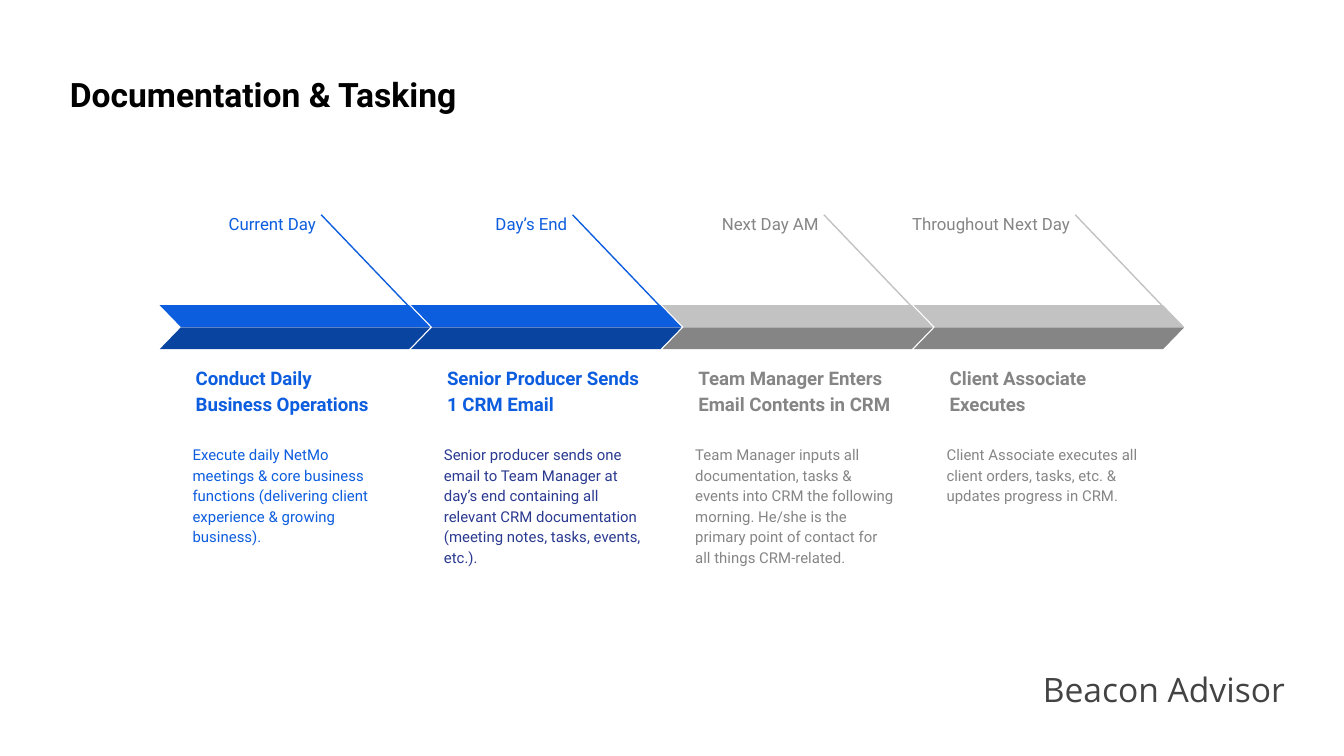
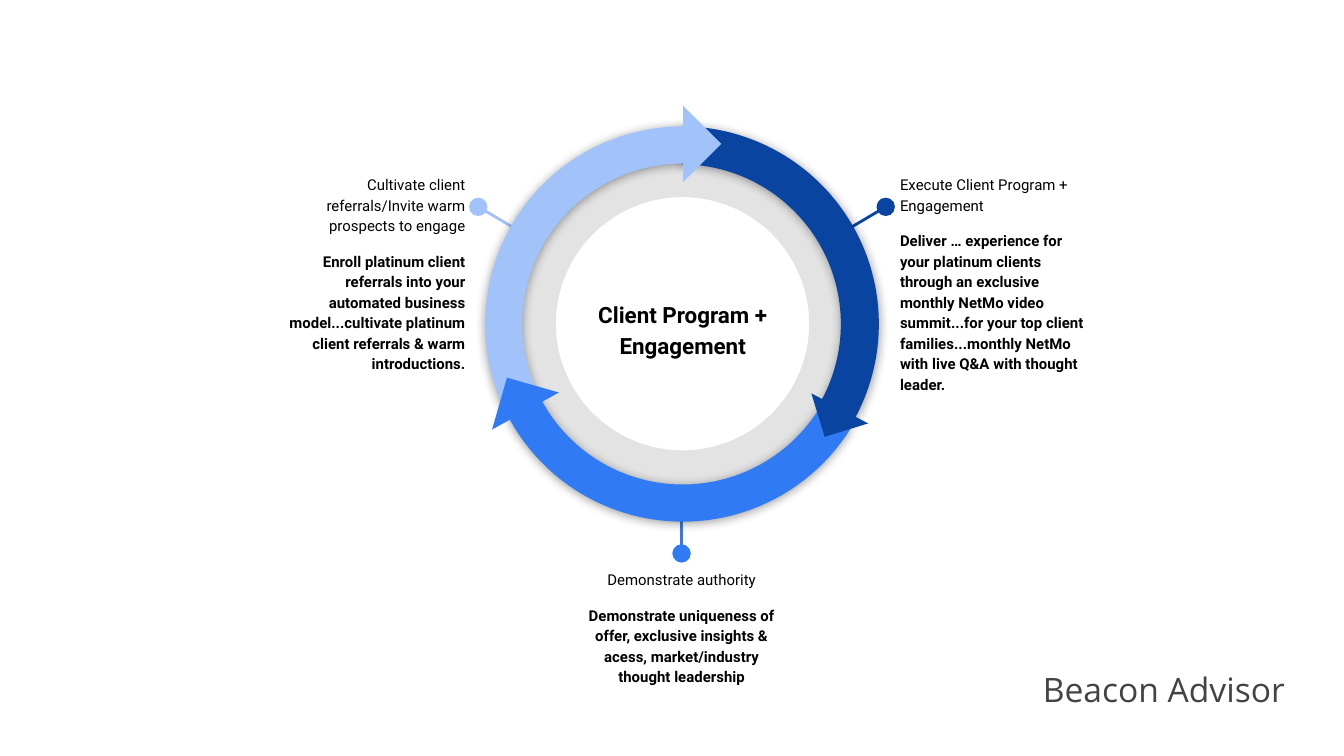
"""Build a two-slide deck: a four-step timeline and a three-part cycle."""
from dataclasses import dataclass
from typing import Any, Optional

from lxml import etree
from pptx import Presentation
from pptx.dml.color import RGBColor
from pptx.enum import shapes as es, text as et
from pptx.oxml import ns
from pptx.util import Cm, Pt

BLUE = RGBColor(0x0D, 0x5D, 0xDF)
NAVY = RGBColor(0x09, 0x44, 0xA1)
INDIGO = RGBColor(0x2A, 0x39, 0x90)
SILVER = RGBColor(0xC2, 0xC2, 0xC2)
GRAY = RGBColor(0x85, 0x85, 0x85)
SKY = RGBColor(0xA1, 0xC3, 0xFA)
AZURE = RGBColor(0x30, 0x7B, 0xF3)
BLACK = RGBColor(0, 0, 0)
SLATE = RGBColor(0x43, 0x43, 0x43)

KIND = es.MSO_SHAPE
LEFT, MID, RIGHT = et.PP_ALIGN.LEFT, et.PP_ALIGN.CENTER, et.PP_ALIGN.RIGHT
TOP, CENTER, BASE = et.MSO_ANCHOR.TOP, et.MSO_ANCHOR.MIDDLE, et.MSO_ANCHOR.BOTTOM
INSET = Cm(0.25)
FRAME = {"word_wrap": True, "auto_size": et.MSO_AUTO_SIZE.NONE,
         "margin_left": INSET, "margin_right": INSET,
         "margin_top": INSET, "margin_bottom": INSET}
Box = tuple[float, float, float, float]
Point = tuple[float, float]


@dataclass
class Para:
    words: str
    size: float
    color: RGBColor = BLACK
    bold: bool = False
    align: Any = LEFT
    font: str = "Roboto"
    leading: float = 1.15
    before: float = 0


@dataclass
class Step:
    time: str
    width: float
    head: str
    body: str
    main: RGBColor
    light: RGBColor
    dark: RGBColor
    ink: RGBColor


@dataclass
class Callout:
    start: Point
    end: Point
    left: float
    top: float
    align: Any
    color: RGBColor
    head: str
    body: str


@dataclass
class Arc:
    left: float
    turn: float
    flip: bool
    bends: tuple[float, float, float]
    color: RGBColor


@dataclass
class Tip:
    left: float
    top: float
    side: float
    turn: float
    color: RGBColor


STEPS = [
    Step("Current Day", 2.77, "Conduct Daily Business Operations",
         "Execute daily NetMo meetings & core business functions (delivering client "
         "experience & growing business).", BLUE, BLUE, NAVY, BLUE),
    Step("Day’s End", 2.21, "Senior Producer Sends 1 CRM Email",
         "Senior producer sends one email to Team Manager at day’s end containing all "
         "relevant CRM documentation (meeting notes, tasks, events, etc.).",
         BLUE, BLUE, NAVY, INDIGO),
    Step("Next Day AM", 2.57, "Team Manager Enters Email Contents in CRM",
         "Team Manager inputs all documentation, tasks & events into CRM the following "
         "morning. He/she is the primary point of contact for all things CRM-related.",
         GRAY, SILVER, GRAY, GRAY),
    Step("Throughout Next Day", 3.73, "Client Associate Executes",
         "Client Associate executes all client orders, tasks, etc. & updates progress "
         "in CRM.", GRAY, SILVER, GRAY, GRAY),
]

CALLOUTS = [
    Callout((9.04, 3.91), (10.24, 4.62), 4.88, 3.02, RIGHT, SKY,
            "Cultivate client referrals/Invite warm prospects to engage",
            "Enroll platinum client referrals into your automated business "
            "model...cultivate platinum client referrals & warm introductions."),
    Callout((16.74, 3.91), (15.54, 4.62), 16.76, 3.02, LEFT, NAVY,
            "Execute Client Program + Engagement",
            "Deliver … experience for your platinum clients through an exclusive monthly "
            "NetMo video summit...for your top client families...monthly NetMo with live "
            "Q&A with thought leader."),
    Callout((12.88, 10.46), (12.88, 9.19), 10.8, 10.49, MID, AZURE,
            "Demonstrate authority",
            "Demonstrate uniqueness of offer, exclusive insights & acess, "
            "market/industry thought leadership"),
]

RING = [
    Arc(9.14, 30, False, (144.144, 0.007, 0.096), NAVY),
    Arc(9.17, 330, True, (143.486, 214.729, 0.094), SKY),
    Tip(12.4, 2.21, 1.02, 225, SKY),
    Arc(9.17, 210, True, (143.162, 215.027, 0.094), AZURE),
    Tip(15.44, 7.29, 0.86, 342.9, NAVY),
    Tip(9.42, 7.26, 1.02, 106, AZURE),
]


def put(obj: Any, vals: dict[str, Any]) -> None:
    for key, val in vals.items():
        setattr(obj, key, val)


def child(node: Any, tag: str, **vals: str) -> Any:
    return etree.SubElement(node, ns.qn(tag), vals)


def write(frame: Any, paras: list[Para], anchor: Any = TOP) -> None:
    put(frame, FRAME | {"vertical_anchor": anchor})
    for i, item in enumerate(paras):
        para = frame.add_paragraph() if i else frame.paragraphs[0]
        put(para, {"alignment": item.align, "line_spacing": item.leading,
                   "space_before": Pt(item.before)})
        run = para.add_run()
        run.text = item.words
        put(run.font, {"name": item.font, "size": Pt(item.size), "bold": item.bold})
        run.font.color.rgb = item.color


def note(pool: Any, box: Box, paras: list[Para], anchor: Any = TOP) -> None:
    write(pool.add_textbox(*map(Cm, box)).text_frame, paras, anchor)


def shape(pool: Any, kind: Any, box: Box, color: RGBColor, bends: tuple = (),
          turn: float = 0, flip: bool = False) -> Any:
    item = pool.add_shape(kind, *map(Cm, box))
    item.shadow.inherit = False
    item.fill.solid()
    item.fill.fore_color.rgb = color
    item.line.fill.background()
    item.rotation = turn
    for i, bend in enumerate(bends):
        item.adjustments[i] = bend
    if flip:
        item._element.spPr.xfrm.set("flipH", "1")
    return item


def line(pool: Any, start: Point, end: Point, color: RGBColor, width: float,
         head: Optional[str] = None) -> None:
    item = pool.add_connector(es.MSO_CONNECTOR.STRAIGHT, *map(Cm, start + end))
    item.line.width = Pt(width)
    item.line.color.rgb = color
    if head:
        child(item.line._get_or_add_ln(), "a:headEnd", type=head, w="lg", len="lg")
    child(item._element.spPr, "a:effectLst")


def shade(item: Any) -> None:
    glow = item._element.spPr.find(ns.qn("a:effectLst"))
    drop = child(glow, "a:outerShdw", blurRad=str(Pt(5.6)), dist=str(Pt(0.8)),
                 dir="5400000", algn="bl", rotWithShape="0")
    child(child(drop, "a:srgbClr", val=str(BLACK)), "a:alpha", val="40000")


def page(deck: Any, layout: int) -> Any:
    slide = deck.slides.add_slide(deck.slide_layouts[layout])
    note(slide.shapes, (19.46, 12.4, 5.6, 1.4),
         [Para("Beacon Advisor", 18, SLATE, font="Open Sans", leading=1)])
    return slide


def draw_step(pool: Any, step: Step, left: float) -> None:
    note(pool, (left + 3.2 - step.width, 3.73, step.width, 0.66),
         [Para(step.time, 9, step.main, align=RIGHT)])
    note(pool, (left + 0.43, 6.86, 4.19, 1.24),
         [Para(step.head, 10, step.main, True)], BASE)
    note(pool, (left + 0.37, 8.13, 4.29, 2.06), [Para(step.body, 8, step.ink)])
    line(pool, (left + 3.05, 4.06), (left + 5.03, 6.13), step.light, 0.75)
    for top, color, flip in ((5.77, step.light, True), (6.19, step.dark, False)):
        shape(pool, KIND.PARALLELOGRAM, (left, top, 5.11, 0.41), color, (0.97,), flip=flip)


def draw_call(pool: Any, call: Callout) -> None:
    line(pool, call.start, call.end, call.color, 1.5, "oval")
    note(pool, (call.left, call.top, 4.17, 1.85),
         [Para(call.head, 8, align=call.align),
          Para(call.body, 8, bold=True, align=call.align, before=8)])


def draw_part(pool: Any, part: Arc | Tip) -> None:
    if isinstance(part, Arc):
        shade(shape(pool, KIND.BLOCK_ARC, (part.left, 2.39, 7.47, 7.47), part.color,
                    part.bends, part.turn, part.flip))
    else:
        shape(pool, KIND.RIGHT_TRIANGLE, (part.left, part.top, part.side, part.side),
              part.color, turn=part.turn)


def tasks(deck: Any) -> None:
    slide = page(deck, 5)
    for i, step in enumerate(STEPS):
        draw_step(slide.shapes.add_group_shape().shapes, step, 3.02 + 4.75 * i)
    title = slide.shapes.title
    put(title, {"left": Cm(1.07), "top": Cm(0.94), "width": Cm(23.67), "height": Cm(1.68)})
    write(title.text_frame, [Para("Documentation & Tasking", 18, bold=True, leading=1)],
          CENTER)


def cycle(deck: Any) -> None:
    pool = page(deck, 6).shapes
    disc = shape(pool, KIND.DONUT, (9.37, 2.59, 7.06, 7.06), BLACK, (0.161,))
    tint = disc._element.spPr.find(ns.qn("a:solidFill"))[0]
    child(tint, "a:alpha", val="11000")
    for call in CALLOUTS:
        draw_call(pool.add_group_shape().shapes, call)
    note(pool, (10.9, 5.08, 4.01, 2.24),
         [Para("Client Program + Engagement", 12, bold=True, align=MID)], CENTER)
    for part in RING:
        draw_part(pool, part)


def main() -> None:
    deck = Presentation()
    put(deck, {"slide_width": Cm(25.4), "slide_height": Cm(14.29)})
    tasks(deck)
    cycle(deck)
    deck.save("out.pptx")


if __name__ == "__main__":
    main()
